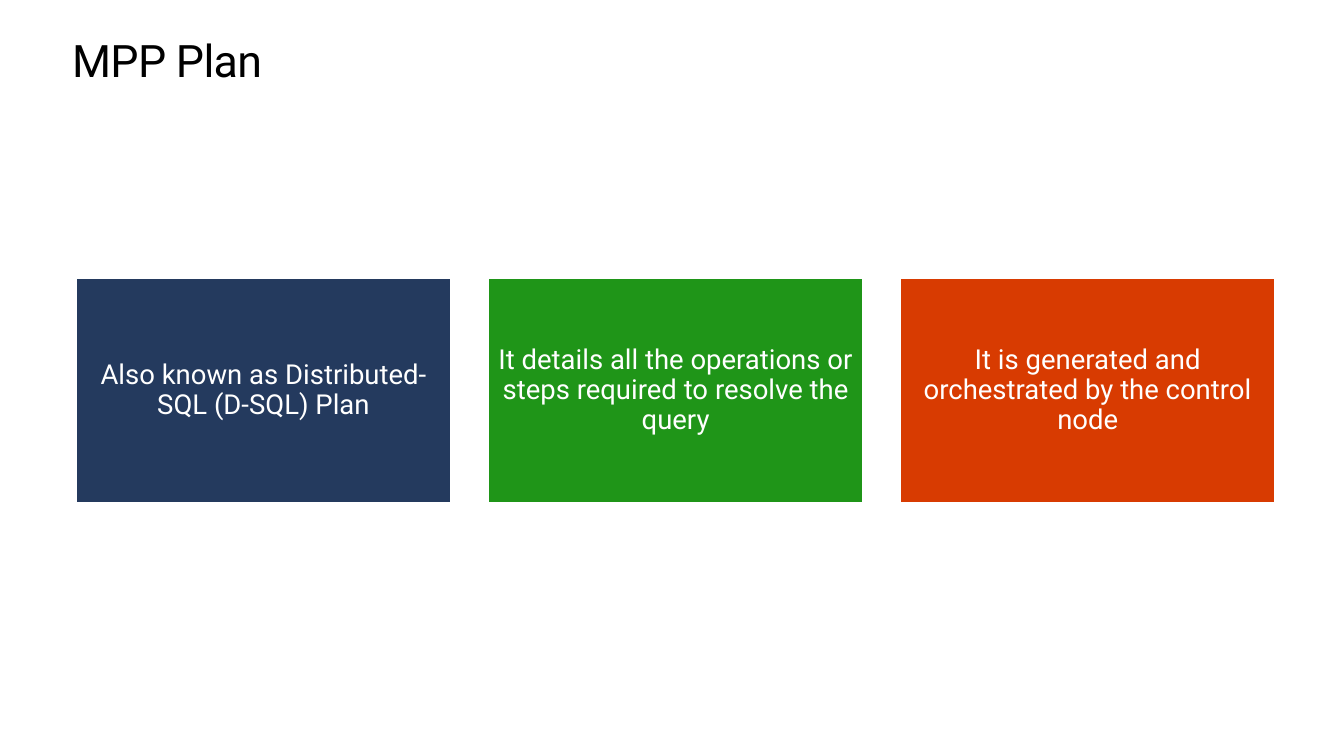
from dataclasses import dataclass

from pptx import Presentation
from pptx.dml.color import RGBColor
from pptx.enum.shapes import MSO_SHAPE
from pptx.enum.text import MSO_ANCHOR, PP_ALIGN
from pptx.util import Pt

RECTANGLE = MSO_SHAPE.RECTANGLE
TOP, MIDDLE = MSO_ANCHOR.TOP, MSO_ANCHOR.MIDDLE
LEFT, CENTER = PP_ALIGN.LEFT, PP_ALIGN.CENTER
BLANK_LAYOUT = 6


@dataclass(frozen=True)
class Theme:
    font: str = "Roboto"
    black: RGBColor = RGBColor(0x00, 0x00, 0x00)
    white: RGBColor = RGBColor(0xFF, 0xFF, 0xFF)
    navy: RGBColor = RGBColor(0x24, 0x3A, 0x5E)
    green: RGBColor = RGBColor(0x1F, 0x95, 0x18)
    orange: RGBColor = RGBColor(0xD8, 0x3B, 0x01)
    title_size: float = 32.6
    card_size: float = 20


THEME = Theme()

# Card row, in points
CARD_LEFT, CARD_TOP = 55.5, 202.5
CARD_WIDTH, CARD_HEIGHT = 273, 164
CARD_PITCH = 300.25
CARDS = [
    ("Also known as Distributed-SQL (D-SQL) Plan", THEME.navy),
    ("It details all the operations or steps required to resolve the query", THEME.green),
    ("It is generated and orchestrated by the control node", THEME.orange),
]


def write_text(shape, text, size, color, alignment, anchor, inset, line_spacing):
    """Fill a shape with one paragraph and return its run."""
    frame = shape.text_frame
    frame.word_wrap = True
    frame.vertical_anchor = anchor
    frame.margin_left = frame.margin_right = Pt(inset)
    frame.margin_top = frame.margin_bottom = Pt(inset)
    paragraph = frame.paragraphs[0]
    paragraph.alignment = alignment
    paragraph.line_spacing = line_spacing
    run = paragraph.add_run()
    run.text = text
    run.font.name = THEME.font
    run.font.size = Pt(size)
    run.font.color.rgb = color
    return run


def add_title(slide, text):
    box = slide.shapes.add_textbox(Pt(52.5), Pt(26), Pt(874), Pt(36.75))
    run = write_text(box, text, THEME.title_size, THEME.black, LEFT, TOP,
                     inset=0, line_spacing=Pt(36.9))
    # Tighten the letters by half a point
    run.font._element.set("spc", "-50")


def add_card(slide, left, text, color):
    card = slide.shapes.add_shape(RECTANGLE, Pt(left), Pt(CARD_TOP),
                                  Pt(CARD_WIDTH), Pt(CARD_HEIGHT))
    card.shadow.inherit = False
    card.fill.solid()
    card.fill.fore_color.rgb = color
    card.line.color.rgb = THEME.white
    card.line.width = Pt(1.5)
    write_text(card, text, THEME.card_size, THEME.white, CENTER, MIDDLE,
               inset=6, line_spacing=0.9)


def main():
    presentation = Presentation()
    presentation.slide_width = Pt(979.2)
    presentation.slide_height = Pt(550.8)
    slide = presentation.slides.add_slide(presentation.slide_layouts[BLANK_LAYOUT])

    # Heading
    add_title(slide, "MPP Plan")

    # Three equal cards in a row
    for index, (text, color) in enumerate(CARDS):
        add_card(slide, CARD_LEFT + index * CARD_PITCH, text, color)

    presentation.save("out.pptx")


if __name__ == "__main__":
    main()
